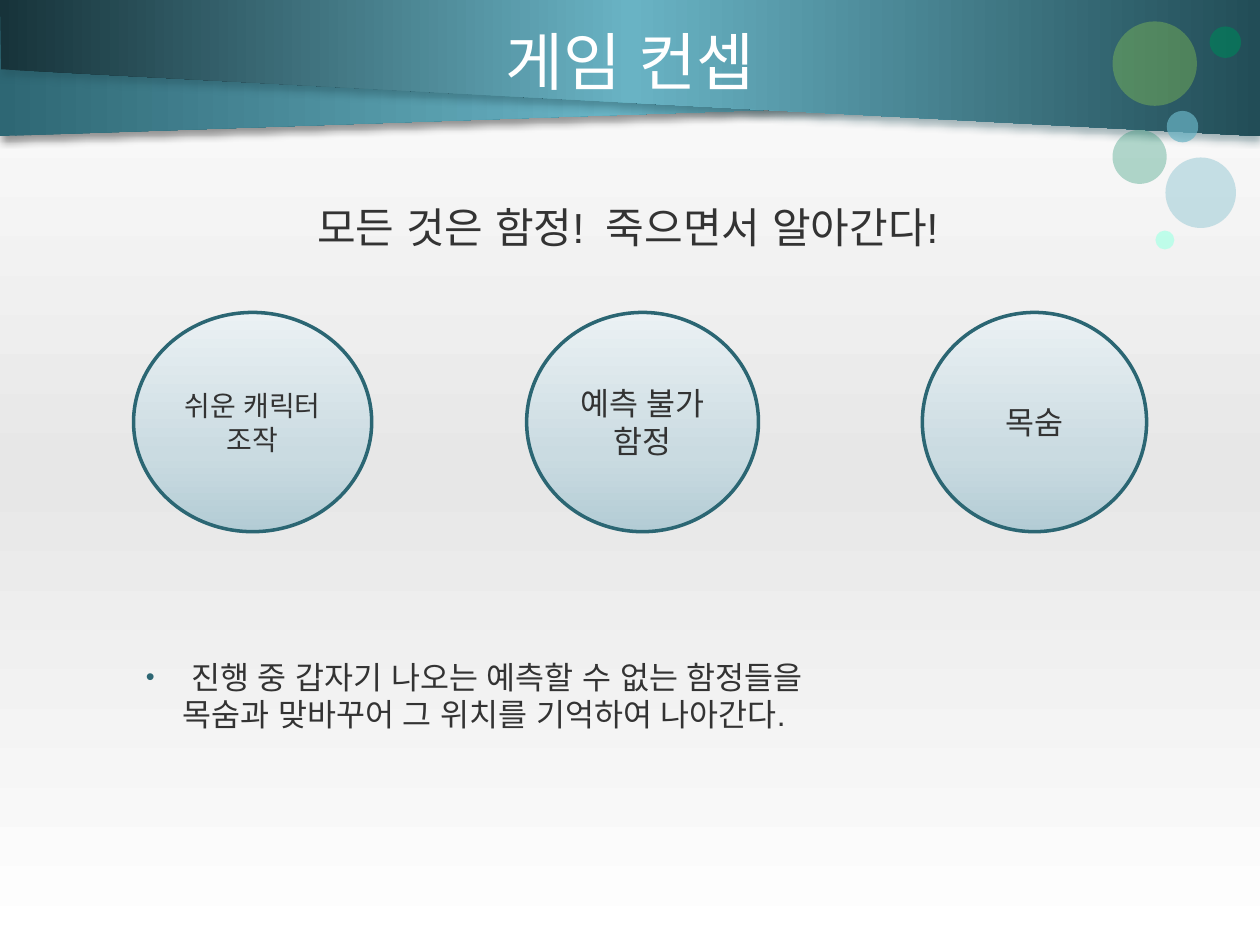
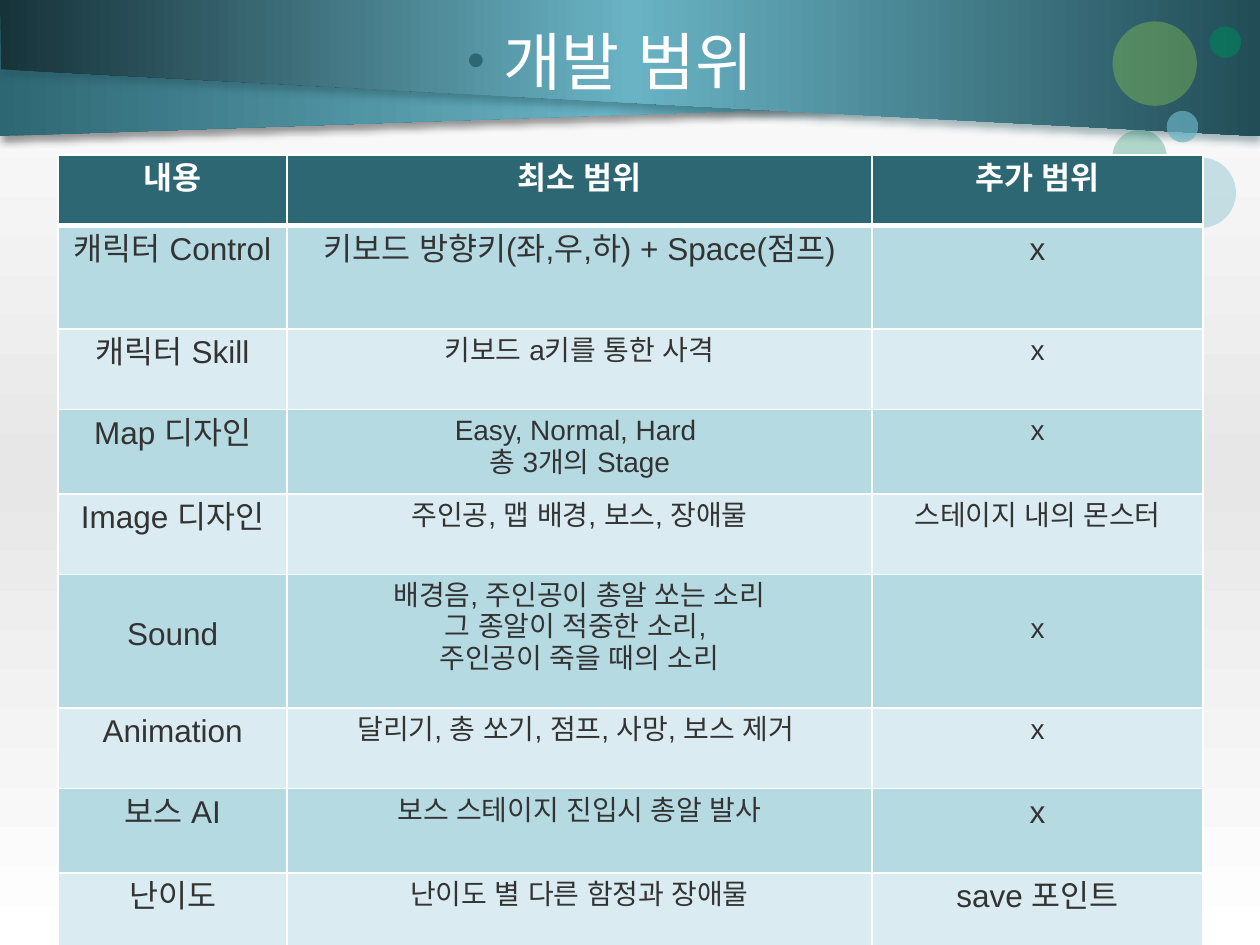
from lxml import etree
from pptx import Presentation
from pptx import util as u
from pptx.dml.color import RGBColor
from pptx.enum import shapes, text
from pptx.oxml.ns import qn

WIDTH, HEIGHT = 10, 7.5
COLORS = {
    "white": "FFFFFF", "black": "000000", "silver": "E7E7E7", "ink": "333333",
    "teal": "2E6774", "sky": "69B3C4", "deep": "224D57", "night": "17333A",
    "mint": "B3FFE8", "green": "00825A", "lime": "93D151", "rim": "2B6673",
    "mist": "B3CCD5", "haze": "CADBE1", "pale": "EBF1F4",
    "band": "B6DAE2", "light_band": "DAECF1",
}
BODY_FONT, TITLE_FONT = "Arial", "Lato"
INDENT = 0.29

BACKDROP = [(0, "white"), (50, "silver"), (100, "white")]
ORB_SHADE = [(0, "mist"), (35, "haze"), (100, "pale")]

# outline, gradient, shadow colour
RIBBONS = [
    ([(0, 0), (9.67, 0.75), (0, 1.08)],
     [(0, "teal"), (50, "sky"), (100, "deep")], "black"),
    ([(10, 0), (0, 0), (0.01, 0.55), (10, 1.08)],
     [(0, "night"), (50, "sky"), (100, "deep")], "deep"),
]
# left, top, diameter, colour, opacity
BUBBLES = [
    (9.17, 1.83, 0.15, "mint", 82), (8.83, 1.03, 0.43, "green", 29),
    (9.25, 1.25, 0.56, "sky", 35), (9.26, 0.88, 0.25, "sky", 70),
    (8.83, 0.17, 0.67, "lime", 36), (9.6, 0.21, 0.25, "green", 65),
]

CONCEPT_TITLE = "게임 컨셉"
TAGLINE = "모든 것은 함정!\t죽으면서 알아간다!"
SUMMARY = " 진행 중 갑자기 나오는 예측할 수 없는 함정들을 목숨과 맞바꾸어 그 위치를 기억하여 나아간다."
ORB_TOP, ORB_HEIGHT = 2.48, 1.74
# left, width, lines, text size
ORBS = [
    (1.06, 1.89, ["쉬운 캐릭터 조작"], 16),
    (4.18, 1.84, ["예측 불가", "함정"], 18),
    (7.32, 1.78, ["목숨"], 18),
]

SCOPE_TITLE = "개발 범위"
SCOPE_COLUMNS = [1.82, 4.64, 2.63]
SCOPE_HEIGHTS = [0.56, 0.82, 0.64, 0.67, 0.64, 1.06, 0.64, 0.67, 0.64]
SCOPE = [
    ["내용", "최소 범위", "추가 범위"],
    ["캐릭터 Control", "키보드 방향키(좌,우,하) + Space(점프)", "x"],
    ["캐릭터 Skill", "키보드 a키를 통한 사격", "x"],
    ["Map 디자인", ("Easy, Normal, Hard ", "총 3개의 Stage"), "x"],
    ["Image 디자인", "주인공, 맵 배경, 보스, 장애물", "스테이지 내의 몬스터"],
    ["Sound", ("배경음, 주인공이 총알 쏘는 소리", "그 종알이 적중한 소리, ",
               "주인공이 죽을 때의 소리"), "x"],
    ["Animation", "달리기, 총 쏘기, 점프, 사망, 보스 제거 ", "x"],
    ["보스 AI", "보스 스테이지 진입시 총알 발사", "x"],
    ["난이도", "난이도 별 다른 함정과 장애물", "save 포인트"],
]
LARGE_CELLS = {(1, 1), (1, 2), (7, 2), (8, 2)}
LOWERED_CELLS = {(5, 0), (5, 2)}


def rgb(name):
    return RGBColor.from_string(COLORS[name])


def add_xml(parent, tag, **attributes):
    return etree.SubElement(parent, qn(tag), attributes)


def add_color(parent, name, opacity=100):
    color = add_xml(parent, "a:srgbClr", val=COLORS[name])
    if opacity < 100:
        add_xml(color, "a:alpha", val=str(opacity * 1000))


def set_gradient(owner, fill, stops, angle):
    """Fill owner with any number of stops; angle runs clockwise in degrees."""
    fill.gradient()
    gradient = owner.element.find(".//" + qn("a:gradFill"))
    stop_list = gradient.find(qn("a:gsLst"))
    for stop in list(stop_list):
        stop_list.remove(stop)
    for position, name in stops:
        add_color(add_xml(stop_list, "a:gs", pos=str(position * 1000)), name)
    gradient.find(qn("a:lin")).set("ang", str(angle * 60000))


def add_shadow(shape, name):
    effects = shape.element.spPr.find(qn("a:effectLst"))
    shadow = add_xml(effects, "a:outerShdw", blurRad=str(u.Pt(4)),
                     dist=str(u.Pt(3)), dir=str(90 * 60000), algn="t", rotWithShape="0")
    add_color(shadow, name, 40)


def add_ellipse(page, left, top, width, height):
    ellipse = page.shapes.add_shape(
        shapes.MSO_SHAPE.OVAL, *map(u.Inches, (left, top, width, height)))
    ellipse.shadow.inherit = False
    return ellipse


def write(frame, lines, size, color, align=None, font=BODY_FONT, bold=False):
    frame.word_wrap = True
    for number, line in enumerate(lines):
        para = frame.add_paragraph() if number else frame.paragraphs[0]
        para.text = line
        para.alignment = align
        para.font.size = u.Pt(size)
        para.font.name = font
        para.font.bold = bold
        para.font.color.rgb = rgb(color)
        latin = para._p.find(".//" + qn("a:latin"))
        latin.addnext(etree.Element(qn("a:ea"), typeface=BODY_FONT))


def add_text(page, area, line, size, color, align=None, font=BODY_FONT):
    box = page.shapes.add_textbox(*map(u.Inches, area))
    write(box.text_frame, [line], size, color, align, font)
    return box


def indent(box, bullet):
    """Give the first paragraph a hanging indent, with a teal bullet if asked."""
    para = box.text_frame.paragraphs[0]
    para.space_before = u.Pt(para.font.size.pt * 0.2)
    properties = para._p.get_or_add_pPr()
    properties.set("marL", str(u.Inches(INDENT)))
    properties.set("indent", str(-u.Inches(INDENT)))
    if bullet:
        bullet_parts = [etree.Element(qn(tag)) for tag in ("a:buClr", "a:buSzPct", "a:buFont", "a:buChar")]
        color, size, font, mark = bullet_parts
        add_color(color, "teal")
        size.set("val", "80000")
        font.set("typeface", BODY_FONT)
        mark.set("char", "•")
        spacing = properties.find(qn("a:spcBef"))
        for part in reversed(bullet_parts):
            spacing.addnext(part)


def add_page(deck):
    """Add a page with the shared backdrop, ribbons and bubbles."""
    page = deck.slides.add_slide(deck.slide_layouts[6])
    set_gradient(page, page.background.fill, BACKDROP, 90)
    for outline, stops, shadow_color in RIBBONS:
        start, *corners = [(u.Inches(x), u.Inches(y)) for x, y in outline]
        builder = page.shapes.build_freeform(*start)
        builder.add_line_segments(corners, close=True)
        ribbon = builder.convert_to_shape()
        ribbon.shadow.inherit = False
        ribbon.line.fill.background()
        set_gradient(ribbon, ribbon.fill, stops, 0)
        add_shadow(ribbon, shadow_color)
    for left, top, diameter, color, opacity in BUBBLES:
        bubble = add_ellipse(page, left, top, diameter, diameter)
        bubble.line.fill.background()
        bubble.fill.solid()
        bubble.fill.fore_color.rgb = rgb(color)
        tint = bubble.element.spPr.find(qn("a:solidFill")).find(qn("a:srgbClr"))
        add_xml(tint, "a:alpha", val=str(opacity * 1000))
    return page


def build_concept(deck):
    page = add_page(deck)
    center = text.PP_ALIGN.CENTER
    indent(add_text(page, (1.06, 5.17, 5.59, 1.57), SUMMARY, 18, "ink"), bullet=True)
    title = add_text(page, (0.5, 0, WIDTH - 1, 0.95), CONCEPT_TITLE, 36, "white",
                     center, TITLE_FONT)
    title.text_frame.vertical_anchor = text.MSO_ANCHOR.MIDDLE
    indent(add_text(page, (2.42, 1.55, 5.72, 1.1), TAGLINE, 24, "ink"), bullet=False)
    for left, width, lines, size in ORBS:
        orb = add_ellipse(page, left, ORB_TOP, width, ORB_HEIGHT)
        set_gradient(orb, orb.fill, ORB_SHADE, 270)
        orb.line.color.rgb = rgb("rim")
        orb.line.width = u.Pt(2)
        orb.text_frame.vertical_anchor = text.MSO_ANCHOR.MIDDLE
        write(orb.text_frame, lines, size, "ink", center)


def set_borders(cell, top, bottom):
    properties = cell._tc.get_or_add_tcPr()
    widths = {"a:lnL": 1, "a:lnR": 1, "a:lnT": top, "a:lnB": bottom}
    for place, (tag, width) in enumerate(widths.items()):
        line = etree.Element(qn(tag), w=str(u.Pt(width)))
        add_color(add_xml(line, "a:solidFill"), "white")
        properties.insert(place, line)


def fill_cell(cell, row, column, content):
    header = row == 0
    size = 18 if header or column == 0 or (row, column) in LARGE_CELLS else 16
    lines = [content] if isinstance(content, str) else content
    write(cell.text_frame, lines, size, "white" if header else "ink",
          text.PP_ALIGN.CENTER, bold=header)
    if (row, column) in LOWERED_CELLS:
        cell.margin_top = u.Inches(0.05) + u.Pt(size * 1.15)
    cell.fill.solid()
    cell.fill.fore_color.rgb = rgb("teal" if header else "band" if row % 2 else "light_band")
    set_borders(cell, top=3 if row == 1 else 1, bottom=3 if header else 1)


def build_scope(deck):
    page = add_page(deck)
    indent(add_text(page, (3.61, 0.13, 2.78, 0.87), SCOPE_TITLE, 36, "white"), bullet=True)
    area = (0.46, 1.23, sum(SCOPE_COLUMNS), sum(SCOPE_HEIGHTS))
    table = page.shapes.add_table(len(SCOPE), len(SCOPE_COLUMNS), *map(u.Inches, area)).table
    for column, width in zip(table.columns, SCOPE_COLUMNS):
        column.width = u.Inches(width)
    for row, height in zip(table.rows, SCOPE_HEIGHTS):
        row.height = u.Inches(height)
    for row, contents in enumerate(SCOPE):
        for column, content in enumerate(contents):
            fill_cell(table.cell(row, column), row, column, content)


def main():
    deck = Presentation()
    deck.slide_width, deck.slide_height = u.Inches(WIDTH), u.Inches(HEIGHT)
    build_concept(deck)
    build_scope(deck)
    deck.save("out.pptx")


if __name__ == "__main__":
    main()
